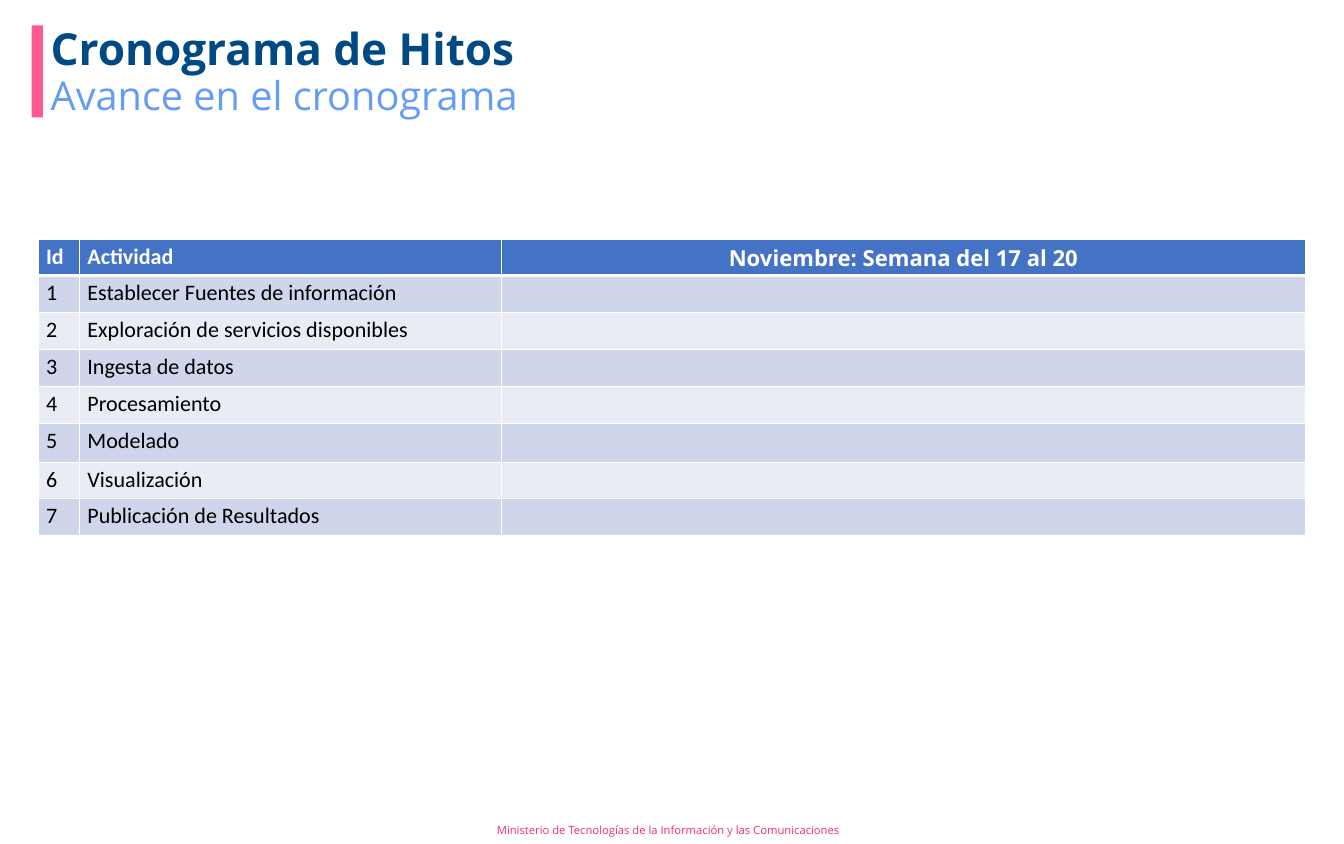
from pptx import Presentation
from pptx.dml.color import RGBColor
from pptx.enum.shapes import MSO_SHAPE
from pptx.enum.text import MSO_ANCHOR, PP_ALIGN
from pptx.oxml.ns import qn
from pptx.util import Inches, Pt
from lxml import etree

RECTANGLE = MSO_SHAPE.RECTANGLE
TOP, MIDDLE = MSO_ANCHOR.TOP, MSO_ANCHOR.MIDDLE
LEFT, CENTER = PP_ALIGN.LEFT, PP_ALIGN.CENTER

WIDTH, HEIGHT = Inches(16.93), Inches(10.63)
PINK = RGBColor(0xFF, 0x59, 0x93)
CRIMSON = RGBColor(0xF4, 0x2F, 0x63)
NAVY = RGBColor(0x00, 0x4A, 0x84)
SKY = RGBColor(0x64, 0x9C, 0xF6)
BLUE = RGBColor(0x44, 0x72, 0xC4)
BANDS = RGBColor(0xCF, 0xD5, 0xEA), RGBColor(0xE9, 0xEB, 0xF5)
WHITE = RGBColor(0xFF, 0xFF, 0xFF)
BLACK = RGBColor(0x00, 0x00, 0x00)

HEADERS = "Id", "Actividad", "Noviembre: Semana del 17 al 20"
ACTIVITIES = (
    "Establecer Fuentes de información",
    "Exploración de servicios disponibles",
    "Ingesta de datos",
    "Procesamiento",
    "Modelado",
    "Visualización",
    "Publicación de Resultados",
)


class MilestoneSlide:
    """Draws on one slide; places are percentages of its width and height."""

    heading_font = "Open Sans"
    table_font = "Calibri"
    table_size = 20

    def __init__(self, slide):
        self.slide = slide

    def place(self, left, top, width, height):
        return [int(share * side / 100) for share, side in
                zip((left, top, width, height), (WIDTH, HEIGHT) * 2)]

    def set_text(self, frame, text, font, size, color, bold=False, align=LEFT):
        para = frame.paragraphs[0]
        para.text = text
        para.alignment = align
        for span in para.runs:
            span.font.name = font
            span.font.size = Pt(size)
            span.font.bold = bold
            span.font.color.rgb = color
        return para

    def bar(self, place, color):
        bar = self.slide.shapes.add_shape(RECTANGLE, *self.place(*place))
        bar.shadow.inherit = False
        bar.fill.solid()
        bar.fill.fore_color.rgb = color
        bar.line.fill.background()

    def text(self, place, text, size, color, bold=False, anchor=TOP,
             inset=0.03, spacing=0.9):
        box = self.slide.shapes.add_textbox(*self.place(*place))
        frame = box.text_frame
        frame.word_wrap = True
        frame.vertical_anchor = anchor
        frame.margin_top = frame.margin_bottom = Inches(inset)
        para = self.set_text(frame, text, self.heading_font, size, color, bold)
        para.line_spacing = spacing

    def borders(self, cell, top, bottom):
        """Give the cell white borders: 1 pt at the sides, given widths elsewhere."""
        properties = cell._tc.get_or_add_tcPr()
        for side, points in zip("LRTB", (1, 1, top, bottom)):
            line = etree.SubElement(properties, qn(f"a:ln{side}"), w=str(Pt(points)))
            fill = etree.SubElement(line, qn("a:solidFill"))
            etree.SubElement(fill, qn("a:srgbClr"), val=str(WHITE))

    def table(self, place, columns, heights, rows):
        """Columns are shares of the table's width, heights of the slide's."""
        box = self.place(*place)
        table = self.slide.shapes.add_table(len(rows), len(columns), *box).table
        table.first_row = table.horz_banding = False
        for column, share in zip(table.columns, columns):
            column.width = int(box[2] * share / 100)
        for index, (row, height, texts) in enumerate(zip(table.rows, heights, rows)):
            row.height = int(HEIGHT * height / 100)
            header = index == 0
            for column, (cell, text) in enumerate(zip(row.cells, texts)):
                self.borders(cell, 3 if index == 1 else 1, 3 if header else 1)
                cell.fill.solid()
                cell.fill.fore_color.rgb = BLUE if header else BANDS[(index - 1) % 2]
                week = header and column == len(texts) - 1
                self.set_text(cell.text_frame, text,
                              self.heading_font if week else self.table_font,
                              self.table_size, WHITE if header else BLACK,
                              header, CENTER if week else LEFT)


def main():
    deck = Presentation()
    deck.slide_width, deck.slide_height = WIDTH, HEIGHT
    page = MilestoneSlide(deck.slides.add_slide(deck.slide_layouts[6]))

    page.bar((2.36, 3.01, 0.83, 10.91), PINK)
    page.text((36.39, 96.71, 27.17, 3.29), "Ministerio de Tecnologías de la "
              "Información y las Comunicaciones", 10.2, CRIMSON,
              anchor=MIDDLE, inset=0.05, spacing=1)
    page.text((3.19, 3.01, 94.45, 5.17), "Cronograma de Hitos", 40, NAVY, bold=True)
    page.text((3.19, 8.75, 77.26, 7.06), "Avance en el cronograma", 36, SKY)

    rows = [HEADERS] + [(str(number), activity, "")
                        for number, activity in enumerate(ACTIVITIES, 1)]
    heights = [4.6 if "Modelado" in row else 4.37 for row in rows]
    page.table((2.84, 28.32, 94.33, sum(heights)), (3.26, 33.25, 63.49), heights, rows)
    deck.save("out.pptx")


if __name__ == "__main__":
    main()
